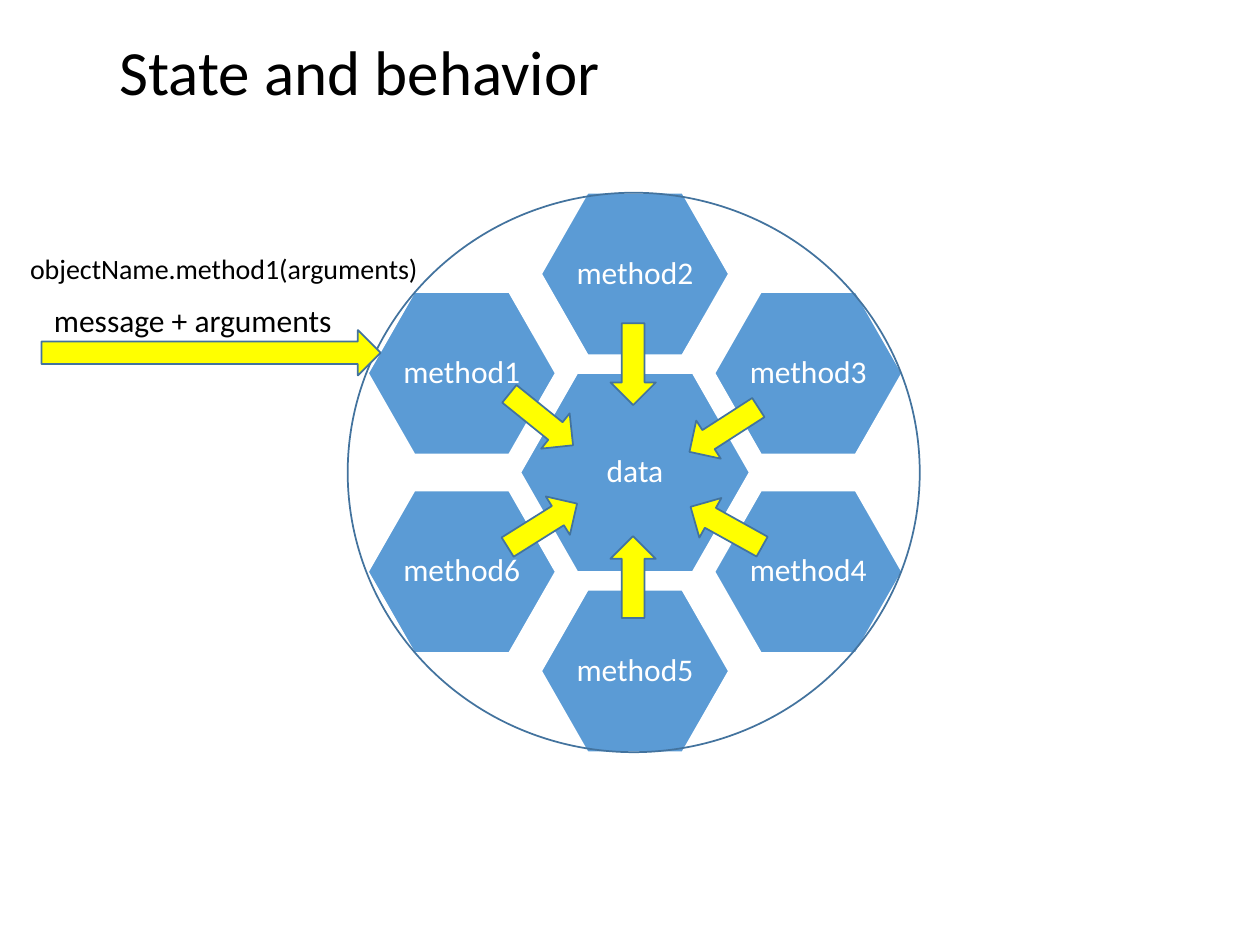
from pptx import Presentation
from pptx.dml.color import RGBColor
from pptx.enum.shapes import MSO_SHAPE
from pptx.enum.text import MSO_ANCHOR, PP_ALIGN
from pptx.util import Inches, Pt

HEXAGON, ARROW, OVAL = MSO_SHAPE.HEXAGON, MSO_SHAPE.RIGHT_ARROW, MSO_SHAPE.OVAL
MIDDLE, TOP = MSO_ANCHOR.MIDDLE, MSO_ANCHOR.TOP
CENTER, LEFT = PP_ALIGN.CENTER, PP_ALIGN.LEFT
COLS, ROWS = 100, 75


def color(code):
    """Turn a hex string into a colour."""
    return RGBColor.from_string(code)


class Board:
    """Hold the style and the current slide; lengths are grid cells."""

    font, ink, paper = "Calibri", "000000", "FFFFFF"
    blue, edge, yellow = "5B9BD5", "43739E", "FFFF00"

    def __init__(self, deck):
        """Add a blank slide and size its grid."""
        self.slide = deck.slides.add_slide(deck.slide_layouts[6])
        self.col = deck.slide_width / COLS
        self.row = deck.slide_height / ROWS

    def box(self, x, y, wide, high):
        """Turn grid cells into slide lengths."""
        return (round(x * self.col), round(y * self.row),
                round(wide * self.col), round(high * self.row))

    def letter(self, frame, text, size, ink, align=LEFT, anchor=TOP, lead=1.0):
        """Set one styled line of text."""
        frame.text = text
        frame.vertical_anchor = anchor
        line = frame.paragraphs[0]
        line.alignment, line.line_spacing = align, lead
        font = line.runs[0].font
        font.name, font.size = self.font, Pt(size)
        font.color.rgb = color(ink)

    def label(self, text, x, y, wide, high, size, **style):
        """Add a text box."""
        frame = self.slide.shapes.add_textbox(*self.box(x, y, wide, high)).text_frame
        frame.word_wrap = True
        self.letter(frame, text, size, self.ink, **style)

    def shape(self, kind, mid, wide, high, fill, line):
        """Add a preset shape around a middle point."""
        x, y = mid
        part = self.slide.shapes.add_shape(
            kind, *self.box(x - wide / 2, y - high / 2, wide, high))
        part.shadow.inherit = False
        if fill:
            part.fill.solid()
            part.fill.fore_color.rgb = color(fill)
        else:
            part.fill.background()
        part.line.color.rgb = color(line)
        part.line.width = Pt(1)
        return part

    def cell(self, text, mid, wide, high):
        """Add a hexagon with a centred name."""
        part = self.shape(HEXAGON, mid, wide, high, self.blue, self.paper)
        part.adjustments[0] = 0.286
        frame = part.text_frame
        frame.word_wrap = False
        frame.margin_left = frame.margin_right = Inches(0.03)
        frame.margin_top = frame.margin_bottom = Inches(0.03)
        self.letter(frame, text, 18, self.paper, CENTER, MIDDLE, 0.9)

    def arrow(self, mid, wide=6.5, turn=0):
        """Add a yellow block arrow."""
        part = self.shape(ARROW, mid, wide, 3.6, self.yellow, self.edge)
        part.rotation = turn

    def ring(self, mid, wide, high):
        """Add an unfilled oval."""
        self.shape(OVAL, mid, wide, high, None, self.edge)


deck = Presentation()
deck.slide_width, deck.slide_height = Inches(10), Inches(7.5)
board = Board(deck)
board.label("State and behavior", 8.5, 0.1, 86.2, 11.7, 36, anchor=MIDDLE, lead=0.9)

# Methods surround the data, clockwise from the upper left.
core_x, core_y = 50.4, 37.5
step_x, step_y = 13.75, 7.88
around = [(-1, -1), (0, -2), (1, -1), (1, 1), (0, 2), (-1, 1)]
board.cell("data", (core_x, core_y), 18.2, 15.8)
for number, (across, down) in enumerate(around, 1):
    spot = (core_x + across * step_x, core_y + down * step_y)
    board.cell(f"method{number}", spot, 14.9, 12.9)

# Each method points inward at the data.
inward = [
    (42.95, 33.3, 38.9), (50.25, 28.9, 90), (57.45, 34.1, 147.2),
    (57.65, 41.8, 209.1), (50.25, 45.8, 270), (43.05, 41.7, 327.9),
]
for x, y, turn in inward:
    board.arrow((x, y), turn=turn)

board.ring((core_x - 0.1, core_y), 45.4, 44.4)
board.arrow((16.75, 28), wide=26.9)
board.label("message + arguments", 3.3, 23.4, 24.4, 4, 18)
board.label("objectName.method1(arguments)", 1.4, 19.5, 36.9, 3.7, 16)
deck.save("out.pptx")
